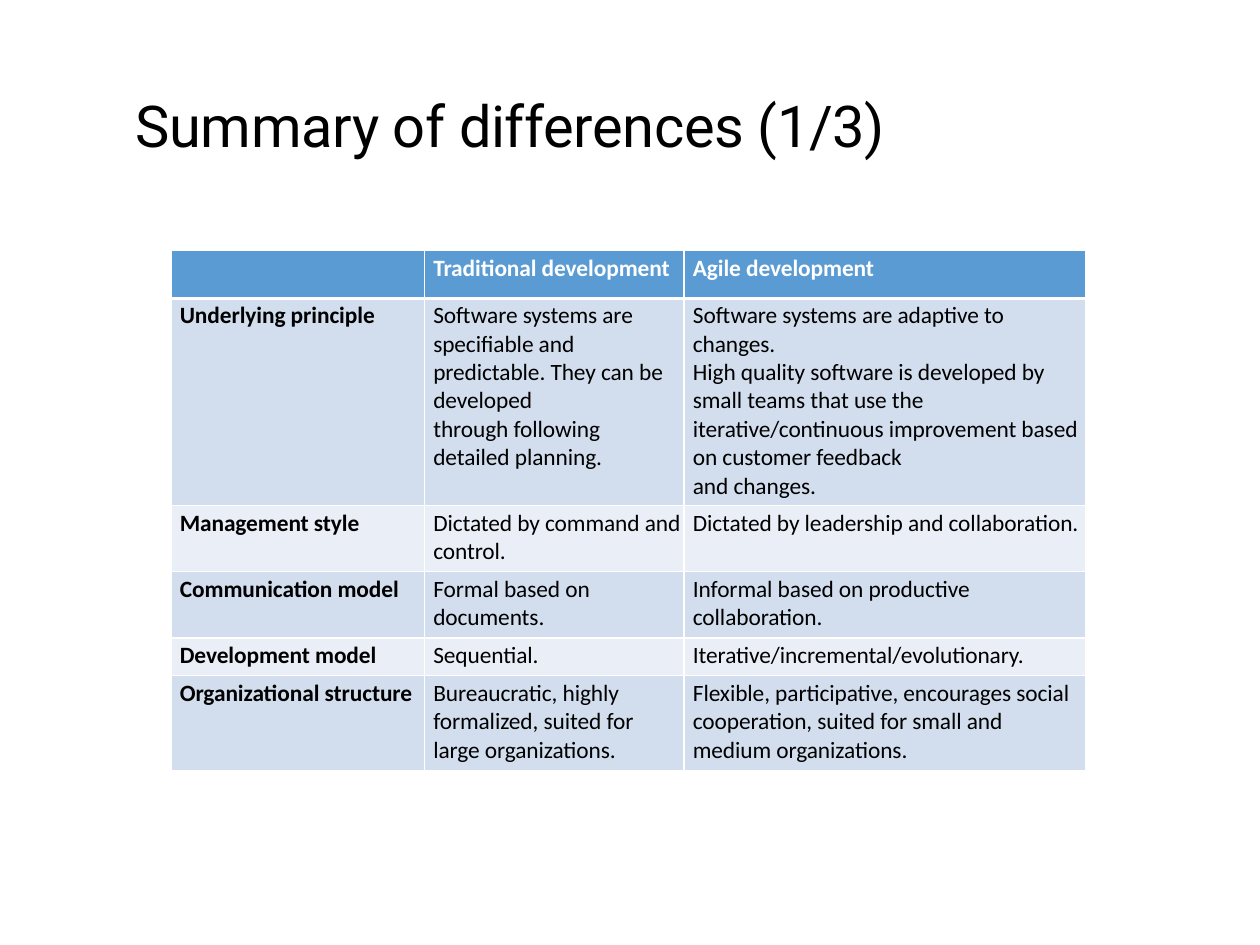
from dataclasses import dataclass

from lxml.etree import SubElement
from pptx import Presentation
from pptx.dml.color import RGBColor
from pptx.enum.text import MSO_ANCHOR
from pptx.oxml.ns import qn
from pptx.util import Inches, Pt


@dataclass(frozen=True)
class Theme:
    title_font: str = "Roboto"
    body_font: str = "Calibri"
    title_size: float = 46.9
    body_size: float = 19
    ink: str = "000000"
    white: str = "FFFFFF"
    header: str = "5B9BD4"
    bands: tuple = ("D2DEEE", "EAEEF7")


THEME = Theme()
COL_WIDTHS = (2.86, 2.93, 4.53)
ROW_HEIGHTS = (0.54, 2.35, 0.75, 0.75, 0.43, 1.07)

# Each line of a cell is one paragraph
ROWS = [
    ("", "Traditional development", "Agile development"),
    ("Underlying principle",
     "Software systems are specifiable and predictable. They can be developed\n"
     "through following\n"
     "detailed planning.",
     "Software systems are adaptive to\n"
     "changes.\n"
     "High quality software is developed by small teams that use the "
     "iterative/continuous improvement based on customer feedback\n"
     "and changes."),
    ("Management style", "Dictated by command and control.",
     "Dictated by leadership and collaboration."),
    ("Communication model", "Formal based on documents.",
     "Informal based on productive collaboration."),
    ("Development model", "Sequential.", "Iterative/incremental/evolutionary."),
    ("Organizational structure",
     "Bureaucratic, highly formalized, suited for large organizations.",
     "Flexible, participative, encourages social cooperation, "
     "suited for small and medium organizations."),
]


def write_text(tf, text, *, font, size, color, bold=False, indent=0.0,
               before=0.0, spacing=0.0):
    """Fill a text frame, one paragraph per line of text."""
    for i, line in enumerate(text.split("\n")):
        p = tf.add_paragraph() if i else tf.paragraphs[0]
        p.space_before = Pt(0 if i else before)
        pPr = p._p.get_or_add_pPr()
        pPr.set("marL", str(Inches(indent)))
        pPr.set("indent", "0")
        r = p.add_run()
        r.text = line
        r.font.name, r.font.size, r.font.bold = font, Pt(size), bold
        r.font.color.rgb = RGBColor.from_string(color)
        r._r.get_or_add_rPr().set("spc", str(round(spacing * 100)))


def set_borders(cell, color, **widths):
    """Draw the cell's L, R, T and B borders, widths in points."""
    tcPr = cell._tc.get_or_add_tcPr()
    for side in "LRTB":
        ln = SubElement(tcPr, qn(f"a:ln{side}"), w=str(Pt(widths.get(side, 1))))
        fill = SubElement(ln, qn("a:solidFill"))
        SubElement(fill, qn("a:srgbClr"), val=color)


def add_title(s, text, left, top, width, height):
    tf = s.shapes.add_textbox(Inches(left), Inches(top),
                              Inches(width), Inches(height)).text_frame
    tf.word_wrap = True
    tf.vertical_anchor = MSO_ANCHOR.MIDDLE
    tf.margin_left = tf.margin_right = tf.margin_bottom = 0
    tf.margin_top = Inches(0.18)
    write_text(tf, text, font=THEME.title_font, size=THEME.title_size,
               color=THEME.ink, indent=0.36, before=1.1, spacing=-0.3)


def add_comparison(s, rows, left, top, width, height):
    table = s.shapes.add_table(len(rows), len(COL_WIDTHS), Inches(left),
                               Inches(top), Inches(width), Inches(height)).table
    table.horz_banding = False

    # Share the box out in proportion
    for col, w in zip(table.columns, COL_WIDTHS):
        col.width = Inches(width * w / sum(COL_WIDTHS))
    for row, h in zip(table.rows, ROW_HEIGHTS):
        row.height = Inches(height * h / sum(ROW_HEIGHTS))

    # Cells: header row, then alternating bands
    for i, texts in enumerate(rows):
        for j, text in enumerate(texts):
            cell = table.cell(i, j)
            cell.margin_left = cell.margin_right = cell.margin_bottom = 0
            cell.margin_top = Inches(0.04)
            set_borders(cell, THEME.white, T=3 if i == 1 else 1,
                        B=3 if i == 0 else 1)
            cell.fill.solid()
            cell.fill.fore_color.rgb = RGBColor.from_string(
                THEME.bands[(i - 1) % 2] if i else THEME.header)
            if text:
                write_text(cell.text_frame, text, font=THEME.body_font,
                           size=THEME.body_size, bold=i == 0 or j == 0,
                           color=THEME.ink if i else THEME.white,
                           indent=0.1, before=2.5, spacing=-0.07)


def main():
    prs = Presentation()
    prs.slide_width, prs.slide_height = Inches(14.22), Inches(10.67)
    s = prs.slides.add_slide(prs.slide_layouts[6])
    add_title(s, "Summary of differences (1/3)", 1.17, 0.83, 9.86, 0.97)
    add_comparison(s, ROWS, 1.93, 2.83, 10.32, 5.87)
    prs.save("out.pptx")


if __name__ == "__main__":
    main()
